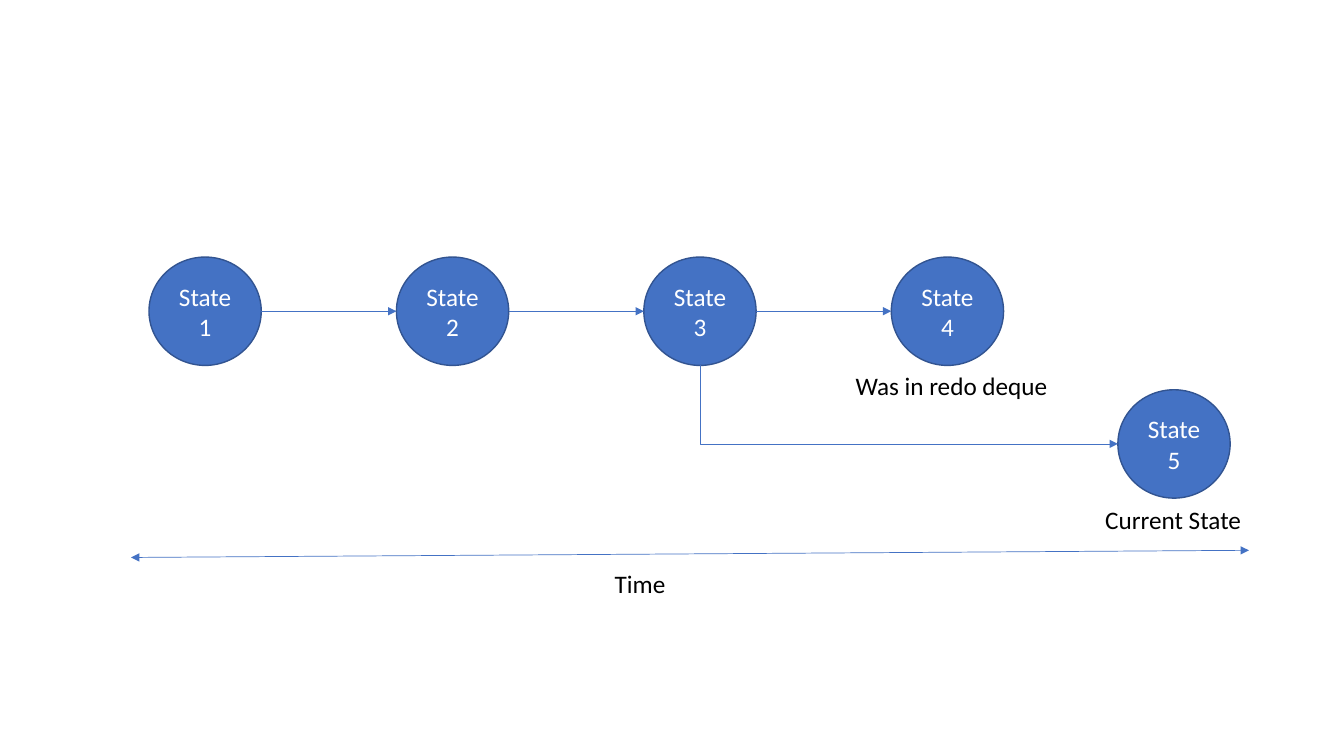
from lxml import etree
from pptx import Presentation
from pptx.dml.color import RGBColor
from pptx.enum.shapes import MSO_CONNECTOR, MSO_SHAPE
from pptx.enum.text import MSO_ANCHOR, PP_ALIGN
from pptx.oxml.ns import qn
from pptx.util import Pt

OVAL, STRAIGHT = MSO_SHAPE.OVAL, MSO_CONNECTOR.STRAIGHT
CENTER, MIDDLE = PP_ALIGN.CENTER, MSO_ANCHOR.MIDDLE
BLUE = RGBColor(0x44, 0x72, 0xC4)
NAVY = RGBColor(0x32, 0x54, 0x91)
WHITE = RGBColor(0xFF, 0xFF, 0xFF)
BLACK = RGBColor(0, 0, 0)
STATE_W, STATE_H = 80.2, 77.4
LEFT, TOP, PITCH = 106.4, 183.6, 176.75
SITE_TOP_DOWN, SITE_LEFT, SITE_RIGHT = 4, 2, 6


class Diagram:
    """Draws states, arrows and labels in one style on the current slide."""

    font, size = "Calibri", Pt(18)

    def __init__(self, slide):
        self.s = slide

    def run(self, p, text, color):
        r = p.add_run()
        r.text = text
        r.font.name, r.font.size, r.font.color.rgb = self.font, self.size, color

    def state(self, number, x, y):
        sp = self.s.shapes.add_shape(OVAL, Pt(x), Pt(y), Pt(STATE_W), Pt(STATE_H))
        sp.shadow.inherit = False
        sp.fill.solid()
        sp.fill.fore_color.rgb = BLUE
        sp.line.color.rgb, sp.line.width = NAVY, Pt(1)
        tf = sp.text_frame
        tf.word_wrap, tf.vertical_anchor = True, MIDDLE
        p = tf.paragraphs[0]
        p.alignment = CENTER
        self.run(p, "State", WHITE)
        p.add_line_break()
        self.run(p, str(number), WHITE)
        return sp

    def line(self, x1, y1, x2, y2, ends=("tailEnd",)):
        c = self.s.shapes.add_connector(STRAIGHT, Pt(x1), Pt(y1), Pt(x2), Pt(y2))
        c.line.color.rgb, c.line.width = BLUE, Pt(0.5)
        ln = c.line._get_or_add_ln()
        for end in ends:
            etree.SubElement(ln, qn("a:" + end), type="triangle")
        etree.SubElement(c._element.spPr, qn("a:effectLst"))
        return c

    def glue(self, c, start, start_site, end):
        links = c._element.find(".//" + qn("p:cNvCxnSpPr"))
        for tag, sp, site in (("stCxn", start, start_site), ("endCxn", end, SITE_LEFT)):
            etree.SubElement(links, qn("a:" + tag), id=str(sp.shape_id), idx=str(site))

    def arrow(self, start, end):
        y = start.top.pt + STATE_H / 2
        c = self.line(start.left.pt + STATE_W, y, end.left.pt, y)
        self.glue(c, start, SITE_RIGHT, end)

    def branch(self, start, end):
        x1, y1 = start.left.pt + STATE_W / 2, start.top.pt + STATE_H
        x2, y2 = end.left.pt, end.top.pt + STATE_H / 2
        mid_x, mid_y = (x1 + x2) / 2, (y1 + y2) / 2
        half_w, half_h = (y2 - y1) / 2, (x2 - x1) / 2
        c = self.line(mid_x + half_w, mid_y - half_h, mid_x - half_w, mid_y + half_h)
        spPr = c._element.spPr
        spPr.find(qn("a:xfrm")).set("rot", "16200000")
        spPr.find(qn("a:prstGeom")).set("prst", "bentConnector2")
        self.glue(c, start, SITE_TOP_DOWN, end)

    def label(self, text, x, y, w):
        tf = self.s.shapes.add_textbox(Pt(x), Pt(y), Pt(w), Pt(29)).text_frame
        tf.word_wrap = False
        self.run(tf.paragraphs[0], text, BLACK)


prs = Presentation()
prs.slide_width, prs.slide_height = Pt(960), Pt(540)
d = Diagram(prs.slides.add_slide(prs.slide_layouts[6]))

states = [d.state(i + 1, LEFT + i * PITCH, TOP) for i in range(4)]
current = d.state(5, 798.5, 278.4)
for start, end in zip(states, states[1:]):
    d.arrow(start, end)
d.branch(states[2], current)
d.line(93.6, 398.2, 892.1, 393.1, ends=("headEnd", "tailEnd"))

d.label("Time", 432, 402.5, 55.4)
d.label("Current State", 782.4, 356.5, 112.3)
d.label("Was in redo deque", 604, 260.9, 162)

prs.save("out.pptx")
